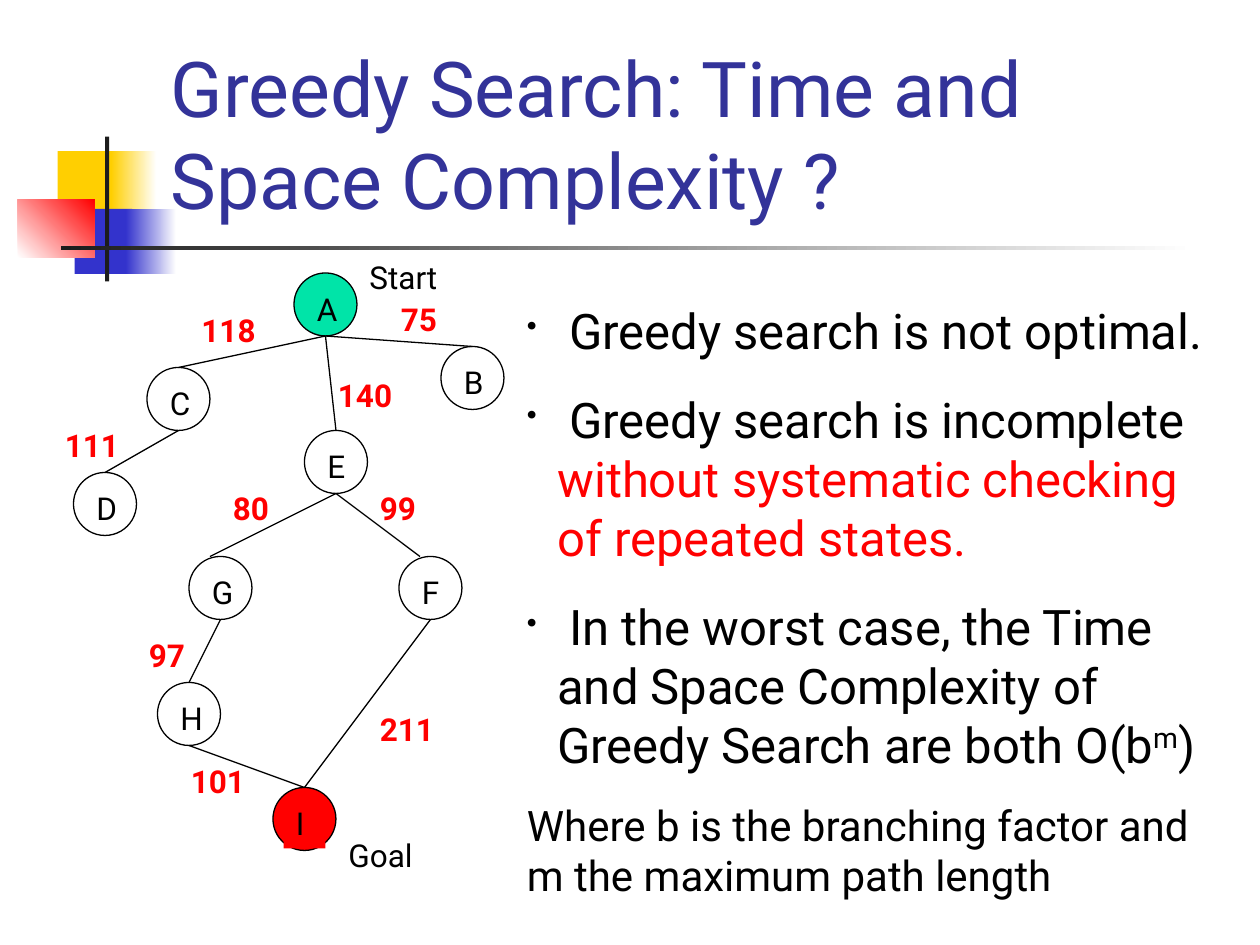
from typing import NamedTuple, Optional

from lxml import etree
from pptx import Presentation
from pptx import util as u
from pptx.dml.color import RGBColor
from pptx.enum import shapes, text
from pptx.oxml import ns

PX = u.Inches(1) // 120  # 120 px to the inch
FONT = "Roboto"

BLACK = RGBColor(0x00, 0x00, 0x00)
WHITE = RGBColor(0xFF, 0xFF, 0xFF)
RED = RGBColor(0xFF, 0x00, 0x00)
GREEN = RGBColor(0x00, 0xE4, 0xA8)
YELLOW = RGBColor(0xFF, 0xCF, 0x01)
BLUE = RGBColor(0x33, 0x33, 0xCC)
TITLE_BLUE = RGBColor(0x33, 0x33, 0x99)
CHARCOAL = RGBColor(0x1C, 0x1C, 0x1C)

NODE = 60  # node diameter
LABEL_H = 48


class Block(NamedTuple):
    x: int
    y: int
    w: int
    h: int
    color: RGBColor
    fade_to: Optional[RGBColor] = None
    angle: int = 0


class Node(NamedTuple):
    x: int
    y: int
    fill: Optional[RGBColor] = None


class Edge(NamedTuple):
    start: str
    end: str
    end_dx: int = 0


class Label(NamedTuple):
    words: str
    x: int
    y: int
    w: int
    color: RGBColor = RED
    bold: bool = True


class Run(NamedTuple):
    words: str
    color: RGBColor = BLACK
    baseline: int = 0


class Para(NamedTuple):
    runs: list
    size: int
    before: float
    bullet: bool = False


BLOCKS = [
    Block(55, 144, 58, 62, YELLOW),
    Block(106, 144, 43, 62, YELLOW, WHITE),
    Block(71, 199, 55, 62, BLUE),
    Block(120, 199, 48, 62, BLUE, WHITE),
    Block(17, 190, 73, 55, WHITE, RED, 45),
    Block(100, 130, 4, 138, CHARCOAL),
    Block(58, 234, 1080, 4, CHARCOAL, WHITE),
]

NODES = {
    "A": Node(280, 260, GREEN),
    "B": Node(420, 330),
    "C": Node(140, 350),
    "D": Node(70, 450),
    "E": Node(290, 410),
    "F": Node(380, 530),
    "G": Node(180, 530),
    "H": Node(150, 650),
    "I": Node(260, 750, RED),
}

EDGES = [
    Edge("A", "B"), Edge("A", "C"), Edge("A", "E"), Edge("C", "D"),
    Edge("E", "F", -10), Edge("E", "G", -10), Edge("F", "I"),
    Edge("G", "H"), Edge("H", "I"),
]

LABELS = [
    Label("Start", 340, 240, 160, BLACK, False),
    Label("Goal", 320, 790, 160, BLACK, False),
    Label("118", 180, 290, 100),
    Label("75", 370, 280, 80),
    Label("140", 310, 352, 100),
    Label("111", 50, 400, 100),
    Label("80", 210, 460, 80),
    Label("99", 350, 460, 80),
    Label("97", 130, 600, 80),
    Label("211", 350, 670, 100),
    Label("101", 170, 720, 110),
]

BODY = [
    Para([Run(" Greedy search is not optimal.")], 28, 17.5, True),
    Para([Run(" Greedy search is incomplete "),
          Run("without systematic checking of repeated states.", RED)], 28, 17.5, True),
    Para([Run(" In the worst case, the Time and Space Complexity of Greedy Search are both O(b"),
          Run("m", baseline=30000), Run(")")], 28, 17.5, True),
    Para([Run("Where b is the branching factor and m the maximum path length")], 24, 15),
]


def px(*values: int) -> list:
    return [u.Emu(v * PX) for v in values]


def style_run(r, words: str, **font) -> None:
    r.text = words
    r.font.color.rgb = font.pop("color")
    for key, value in {"name": FONT, **font}.items():
        setattr(r.font, key, value)


def add_box(slide, x: int, y: int, w: int, h: int):
    sp = slide.shapes.add_textbox(*px(x, y, w, h))
    sp.text_frame.word_wrap = True
    return sp


def draw_label(slide, label: Label):
    sp = add_box(slide, label.x, label.y, label.w, LABEL_H)
    p = sp.text_frame.paragraphs[0]
    p.space_before = u.Pt(11.2)
    style_run(p.add_run(), label.words, size=u.Pt(18), color=label.color, bold=label.bold)
    return sp


def draw_block(slide, b: Block) -> None:
    sp = slide.shapes.add_shape(shapes.MSO_SHAPE.RECTANGLE, *px(b.x, b.y, b.w, b.h))
    sp.shadow.inherit = False
    sp.line.fill.background()
    if b.fade_to is None:
        sp.fill.solid()
        sp.fill.fore_color.rgb = b.color
        return
    sp.fill.gradient()
    sp.fill.gradient_angle = b.angle
    for stop, color, position in zip(sp.fill.gradient_stops, (b.color, b.fade_to), (0, 1)):
        stop.color.rgb = color
        stop.position = position


def draw_node(slide, name: str, node: Node) -> None:
    sp = slide.shapes.add_shape(shapes.MSO_SHAPE.OVAL, *px(node.x, node.y, NODE, NODE))
    sp.shadow.inherit = False
    sp.line.color.rgb = BLACK
    sp.line.width = u.Pt(0.75)
    label = draw_label(slide, Label(name, node.x + 10, node.y + 10, 40, BLACK, False))
    if node.fill is None:
        sp.fill.background()
        return
    sp.fill.solid()
    sp.fill.fore_color.rgb = node.fill
    if name == "I":  # the goal letter sits on its own red patch
        label.fill.solid()
        label.fill.fore_color.rgb = node.fill


def draw_edge(slide, edge: Edge) -> None:
    a, b = NODES[edge.start], NODES[edge.end]
    line = slide.shapes.add_connector(
        shapes.MSO_CONNECTOR.STRAIGHT,
        *px(a.x + NODE // 2, a.y + NODE, b.x + NODE // 2 + edge.end_dx, b.y))
    line.line.color.rgb = BLACK
    line.line.width = u.Pt(0.75)
    etree.SubElement(line._element.spPr, ns.qn("a:effectLst"))


def add_bullet(p) -> None:
    pPr = p._p.get_or_add_pPr()
    indent = px(29)[0]
    pPr.set("marL", str(indent))
    pPr.set("indent", str(-indent))
    color = etree.SubElement(pPr, ns.qn("a:buClr"))
    etree.SubElement(color, ns.qn("a:srgbClr"), val=str(BLACK))
    etree.SubElement(pPr, ns.qn("a:buSzPct"), val="60000")
    etree.SubElement(pPr, ns.qn("a:buChar"), char="•")


def draw_body(slide) -> None:
    tf = add_box(slide, 490, 280, 680, 600).text_frame
    for i, para in enumerate(BODY):
        p = tf.add_paragraph() if i else tf.paragraphs[0]
        p.space_before = u.Pt(para.before)
        if para.bullet:
            add_bullet(p)
        for run in para.runs:
            r = p.add_run()
            style_run(r, run.words, size=u.Pt(para.size), color=run.color)
            if run.baseline:
                r.font._element.set("baseline", str(run.baseline))


def main() -> None:
    prs = Presentation()
    prs.slide_width, prs.slide_height = px(1200, 900)
    s = prs.slides.add_slide(prs.slide_layouts[6])

    # Corner decoration and title
    for block in BLOCKS:
        draw_block(s, block)
    tf = add_box(s, 151, 28, 1022, 192).text_frame
    tf.vertical_anchor = text.MSO_ANCHOR.BOTTOM
    style_run(tf.paragraphs[0].add_run(), "Greedy Search: Time and Space Complexity ?",
              size=u.Pt(44), color=TITLE_BLUE)

    # Search graph
    for name, node in NODES.items():
        draw_node(s, name, node)
    for edge in EDGES:
        draw_edge(s, edge)
    for label in LABELS:
        draw_label(s, label)

    # Conclusions
    draw_body(s)
    prs.save("out.pptx")


if __name__ == "__main__":
    main()
